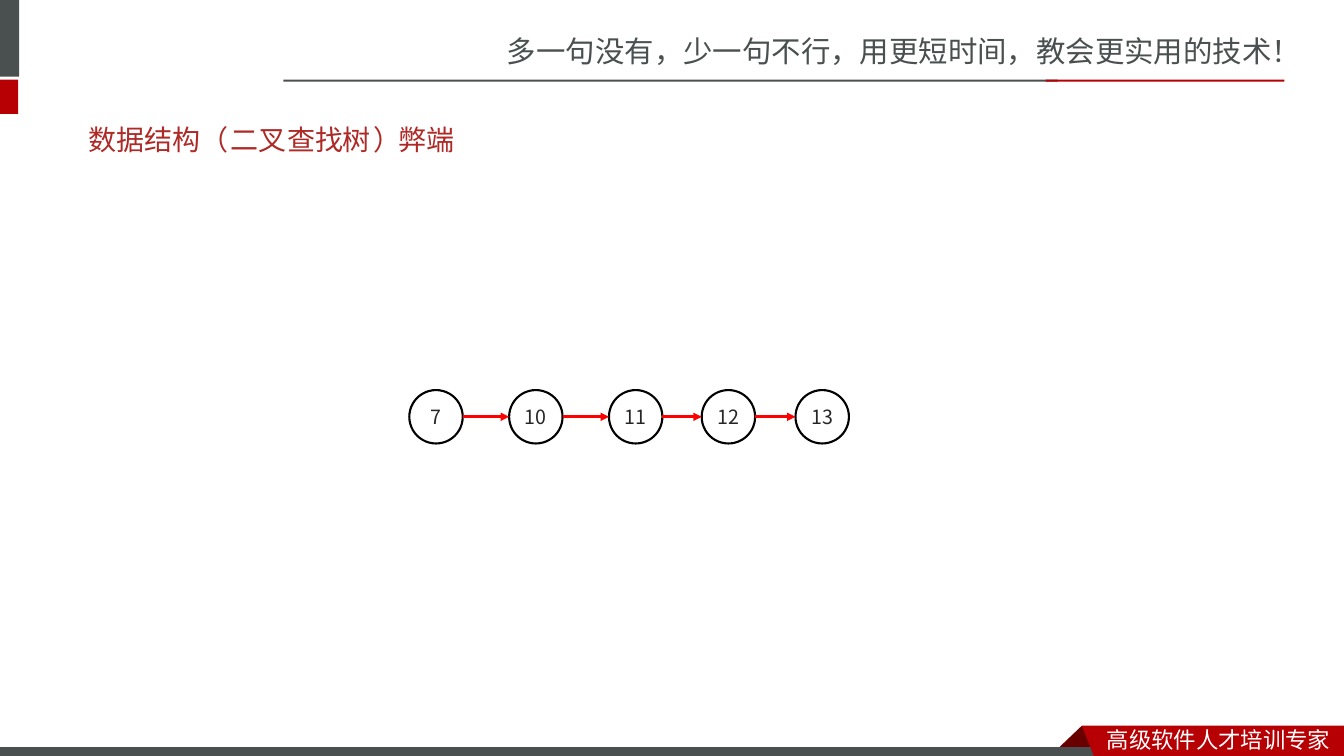
"""Build a slide on the drawback of binary search trees: a tree that becomes a chain."""
from lxml import etree
from pptx import Presentation
from pptx.dml.color import RGBColor
from pptx.enum.shapes import MSO_CONNECTOR, MSO_SHAPE
from pptx.enum.text import MSO_ANCHOR, PP_ALIGN
from pptx.oxml.ns import qn
from pptx.util import Pt

RECT, OVAL = MSO_SHAPE.RECTANGLE, MSO_SHAPE.OVAL
LINE = MSO_CONNECTOR.STRAIGHT
TOP, MIDDLE = MSO_ANCHOR.TOP, MSO_ANCHOR.MIDDLE
CENTER = PP_ALIGN.CENTER
COLS, ROWS = 1333, 750
CELL = 9144
SANS, LATIN = "Noto Sans CJK SC", "Calibri"
GREY, RED, DARK, WHITE = "49504F", "B60004", "680000", "FFFFFF"


def color(code):
    """Turn a hex string into a colour."""
    return RGBColor.from_string(code)


def write(shape, text, size, font, code, anchor):
    """Put one styled run into a shape."""
    frame = shape.text_frame
    frame.word_wrap = True
    frame.vertical_anchor = anchor
    run = frame.paragraphs[0].add_run()
    run.text = text
    run.font.size = Pt(size)
    run.font.name = font
    run.font.color.rgb = color(code)
    east = etree.SubElement(run.font._element, qn("a:ea"))
    east.set("typeface", SANS)
    return frame


deck = Presentation()
deck.slide_width, deck.slide_height = COLS * CELL, ROWS * CELL
slide = deck.slides.add_slide(deck.slide_layouts[6])
shapes = slide.shapes

bars = [
    (0, 0, 19, 76, GREY),
    (0, 79, 18, 34, RED),
    (281, 79, 768, 2, GREY),
    (1037, 79, 237, 2, RED),
    (0, 741, 1099, 9, GREY),
]
for left, top, width, height, code in bars:
    bar = shapes.add_shape(RECT, left * CELL, top * CELL, width * CELL, height * CELL)
    bar.shadow.inherit = False
    bar.fill.solid()
    bar.fill.fore_color.rgb = color(code)
    bar.line.fill.background()

edge = shapes.add_connector(LINE, 0, 741 * CELL, 1099 * CELL, 741 * CELL)
edge.line.color.rgb = color(WHITE)
edge.line.width = Pt(0.75)
etree.SubElement(edge._element.spPr, qn("a:effectLst"))

folds = [
    ([(1073, 720), (1095, 741), (1051, 741)], DARK),
    ([(1073, 720), (COLS, 720), (COLS, ROWS), (1085, ROWS)], RED),
]
for points, code in folds:
    pen = shapes.build_freeform(*points[0], scale=CELL)
    pen.add_line_segments(points[1:], close=True)
    fold = pen.convert_to_shape()
    fold.shadow.inherit = False
    fold.fill.solid()
    fold.fill.fore_color.rgb = color(code)
    fold.line.fill.background()

labels = [
    (493, 28, 841, 47, "多一句没有，少一句不行，用更短时间，教会更实用的技术！", 21, SANS, GREY, TOP),
    (1088, 715, 245, 37, "高级软件人才培训专家", 16, SANS, WHITE, TOP),
]
title = [
    (78, 229, "数据结构（"),
    (219, 76, "二叉"),
    (275, 76, "查找"),
    (330, 62, "树"),
    (361, 35, "）"),
    (385, 139, "弊端"),
]
for left, width, text in title:
    labels.append((left, 110, width, 57, text, 20, LATIN, "AD2A26", MIDDLE))
for left, top, width, height, *style in labels:
    box = shapes.add_textbox(left * CELL, top * CELL, width * CELL, height * CELL)
    write(box, *style)

SIZE, LEVEL = 53, 387
nodes = [(406, "7"), (505, "10"), (604, "11"), (696, "12"), (789, "13")]
for left, text in nodes:
    node = shapes.add_shape(OVAL, left * CELL, LEVEL * CELL, SIZE * CELL, SIZE * CELL)
    node.shadow.inherit = False
    node.fill.background()
    node.line.color.rgb = color("000000")
    node.line.width = Pt(1.5)
    frame = write(node, text, 14, SANS, "262626", MIDDLE)
    frame.word_wrap = False
    frame.margin_left = frame.margin_right = frame.margin_top = frame.margin_bottom = 0
    frame.paragraphs[0].alignment = CENTER

axis = round((LEVEL + SIZE / 2) * CELL)
for (start, _), (end, _) in zip(nodes, nodes[1:]):
    link = shapes.add_connector(LINE, (start + SIZE) * CELL, axis, end * CELL, axis)
    link.line.color.rgb = color("FF0000")
    link.line.width = Pt(2)
    etree.SubElement(link.line._get_or_add_ln(), qn("a:tailEnd")).set("type", "triangle")
    etree.SubElement(link._element.spPr, qn("a:effectLst"))

deck.save("out.pptx")
